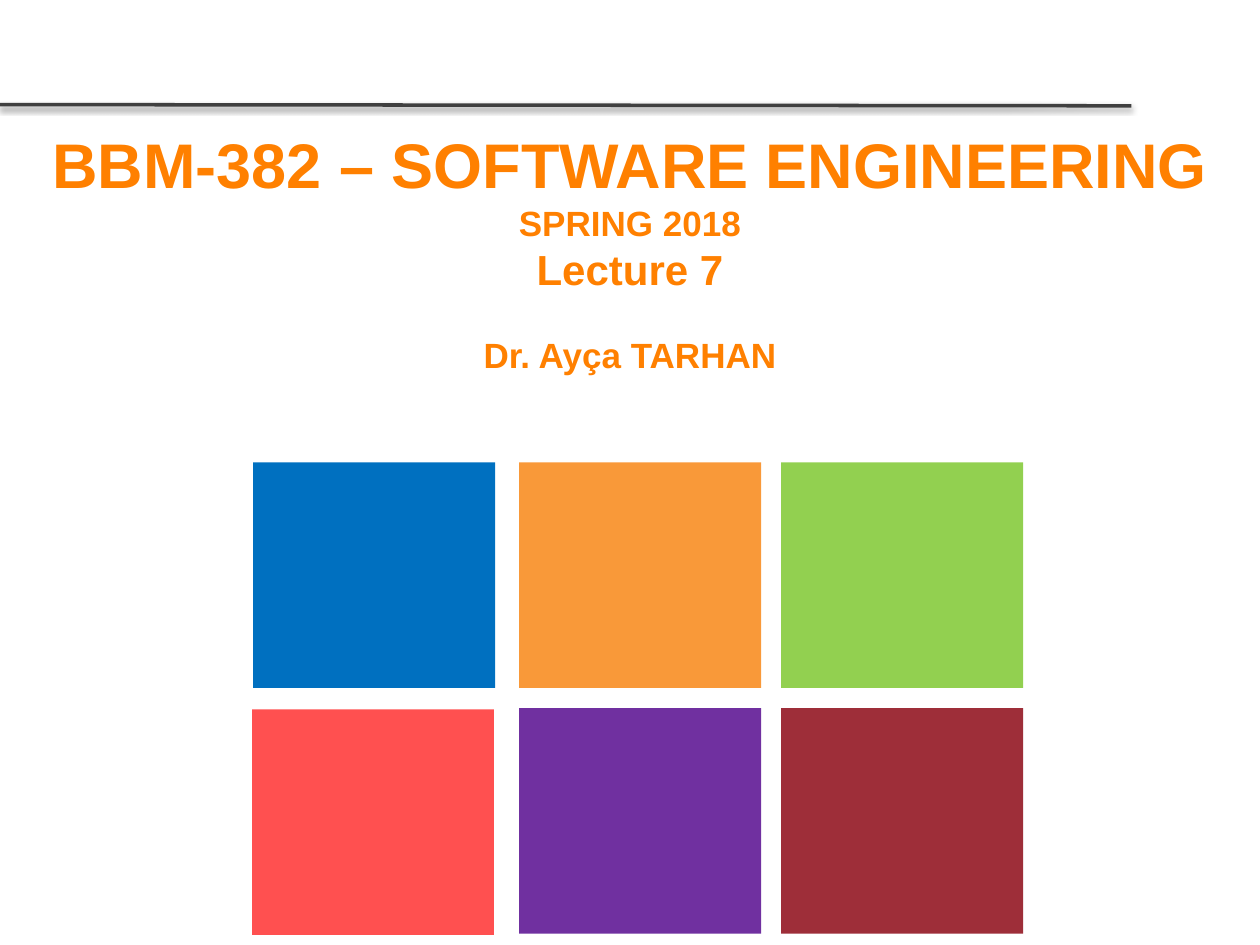
from dataclasses import dataclass

from lxml import etree
from pptx import Presentation
from pptx import util as u
from pptx.dml.color import RGBColor
from pptx.enum import shapes, text
from pptx.oxml.ns import qn


@dataclass(frozen=True)
class Theme:
    font: str = "Arial"
    heading: str = "FF8000"
    rule: str = "404040"
    shadow: str = "000000"
    tiles: tuple = (("0070C0", "F99939", "92D050"),
                    ("FF5050", "7030A0", "9E2E39"))
    course_size: int = 36
    lecture_size: int = 24
    detail_size: int = 20


def apply_format(target, values):
    for name, value in values.items():
        setattr(target, name, value)


class SlideBuilder:
    def __init__(self, slide, theme):
        self.slide = slide
        self.theme = theme

    def rule(self, start, end, width):
        """Straight line with a soft shadow below it."""
        line = self.slide.shapes.add_connector(
            shapes.MSO_CONNECTOR.STRAIGHT, *map(u.Inches, start + end))
        line.line.width = u.Pt(width)
        line.line.color.rgb = RGBColor.from_string(self.theme.rule)
        properties = line._element.spPr
        effects = etree.SubElement(properties, qn("a:effectLst"))
        shadow = etree.SubElement(
            effects, qn("a:outerShdw"), blurRad=str(u.Pt(3.1)),
            dist=str(u.Pt(1.6)), dir="5400000", rotWithShape="0")
        color = etree.SubElement(shadow, qn("a:srgbClr"), val=self.theme.shadow)
        etree.SubElement(color, qn("a:alpha"), val="38000")

    def tile(self, left, top, width, height, color):
        tile = self.slide.shapes.add_shape(
            shapes.MSO_SHAPE.RECTANGLE, *map(u.Inches, (left, top, width, height)))
        tile.shadow.inherit = False
        tile.fill.solid()
        tile.fill.fore_color.rgb = RGBColor.from_string(color)
        tile.line.fill.background()

    def title(self, left, top, width, height, lines):
        """Title placeholder; each line is (wording, size, space before)."""
        title = self.slide.shapes.title
        apply_format(title, {"left": u.Inches(left), "top": u.Inches(top),
                             "width": u.Inches(width), "height": u.Inches(height)})
        frame = title.text_frame
        apply_format(frame, {"word_wrap": True,
                             "auto_size": text.MSO_AUTO_SIZE.NONE,
                             "vertical_anchor": text.MSO_ANCHOR.MIDDLE})
        frame.text = "\n".join(wording for wording, _, _ in lines)
        for paragraph, (_, size, before) in zip(frame.paragraphs, lines):
            apply_format(paragraph, {"alignment": text.PP_ALIGN.CENTER,
                                     "space_before": u.Pt(before)})
            for run in paragraph.runs:
                apply_format(run.font, {"name": self.theme.font,
                                        "size": u.Pt(size), "bold": True})
                run.font.color.rgb = RGBColor.from_string(self.theme.heading)


def main():
    deck = Presentation()
    deck.slide_width, deck.slide_height = u.Inches(10), u.Inches(7.5)
    theme = Theme()
    cover = SlideBuilder(deck.slides.add_slide(deck.slide_layouts[5]), theme)

    # Header rule
    cover.rule((0, 0.83), (8.98, 0.84), 2)

    # Colour tiles; the first column sits slightly off the grid
    lefts, tops = (2.01, 4.12, 6.2), (3.67, 5.62)
    nudges = {(1, 0): (-0.01, 0.01)}
    for row, colors in enumerate(theme.tiles):
        for column, color in enumerate(colors):
            right, down = nudges.get((row, column), (0, 0))
            cover.tile(lefts[column] + right, tops[row] + down, 1.92, 1.79, color)

    # Course, term, lecture and lecturer
    cover.title(0, 0.5, 10, 2.98, [
        ("BBM-382 – SOFTWARE ENGINEERING", theme.course_size, 0),
        ("SPRING 2018", theme.detail_size, 0),
        ("Lecture 7", theme.lecture_size, 0),
        ("Dr. Ayça TARHAN", theme.detail_size, 23),
    ])

    deck.save("out.pptx")


if __name__ == "__main__":
    main()
